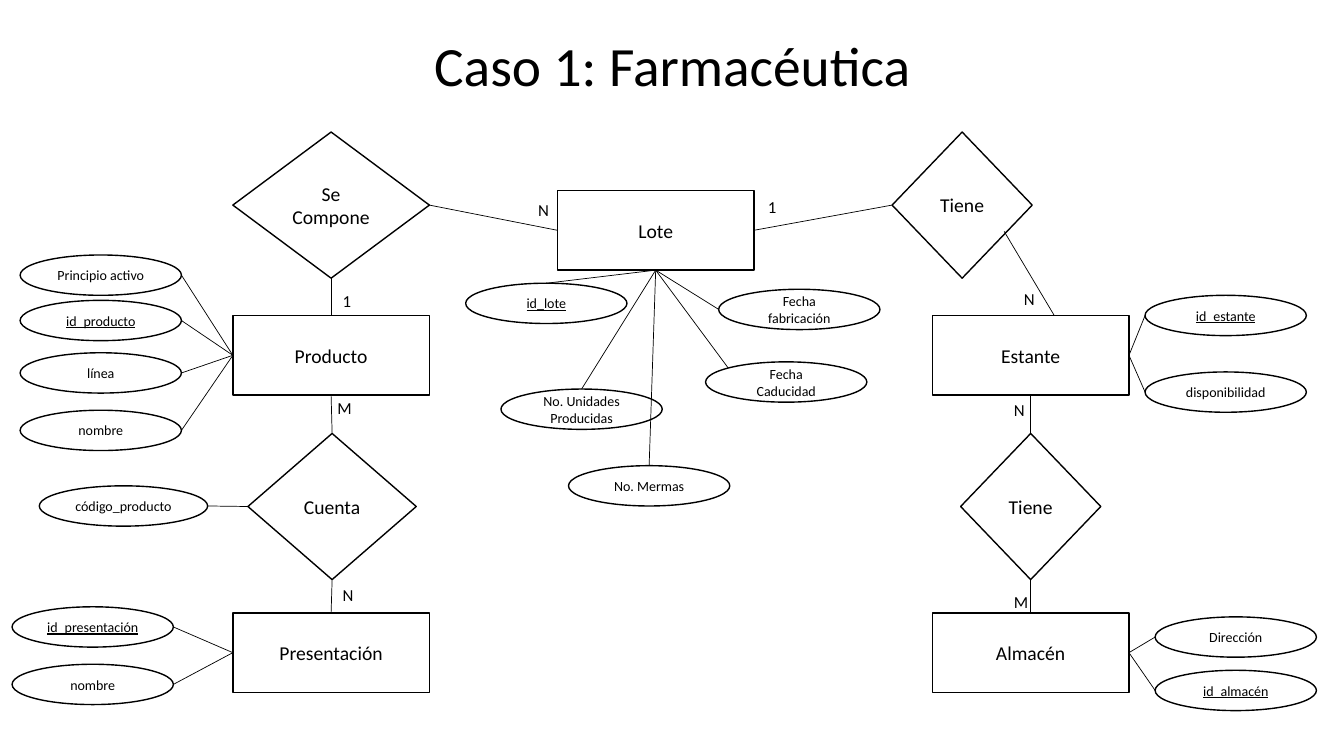
from dataclasses import dataclass
from typing import Any

from lxml import etree
from pptx import Presentation
from pptx.dml.color import RGBColor
from pptx.enum.shapes import MSO_CONNECTOR, MSO_SHAPE
from pptx.enum.text import MSO_ANCHOR, MSO_AUTO_SIZE, PP_ALIGN
from pptx.oxml.ns import qn
from pptx.util import Inches, Pt

RECTANGLE, DIAMOND, OVAL = MSO_SHAPE.RECTANGLE, MSO_SHAPE.DIAMOND, MSO_SHAPE.OVAL
STRAIGHT = MSO_CONNECTOR.STRAIGHT
CENTER, MIDDLE = PP_ALIGN.CENTER, MSO_ANCHOR.MIDDLE
NO_FIT, GROW = MSO_AUTO_SIZE.NONE, MSO_AUTO_SIZE.SHAPE_TO_FIT_TEXT

BLACK = RGBColor(0, 0, 0)
FONT = "Calibri"
CELL = Inches(0.1)  # side of one grid column and row
SLIDE_COLUMNS, SLIDE_ROWS = 133.33, 75
ENTITY_COLUMNS, ENTITY_ROWS = 19.5, 7.9
RELATION_ROWS = 14.5
ATTRIBUTE_COLUMNS, ATTRIBUTE_ROWS = 16, 4

# Connection sites of rectangles and diamonds
TOP, LEFT, BOTTOM, RIGHT = range(4)
# Points on an outline, as shares of the shape's width and height
LEFT_END, RIGHT_END, TOP_END = (0, 0.5), (1, 0.5), (0.5, 0)
UPPER_LEFT = (0.14, 0.15)


def cells(*counts):
    """Turn grid counts into slide lengths."""
    return [round(count * CELL) for count in counts]


def point_on(shape, shares):
    """Return the point at the given shares of a shape's box."""
    return (round(shape.left + shares[0] * shape.width),
            round(shape.top + shares[1] * shape.height))


def add_run(paragraph, text, size, underline=None):
    """Add one black run to a paragraph."""
    run = paragraph.add_run()
    run.text = text
    font = run.font
    font.name, font.size, font.underline = FONT, Pt(size), underline
    font.color.rgb = BLACK


def add_line(slide, begin, end):
    """Draw a thin line between two points."""
    connector = slide.shapes.add_connector(STRAIGHT, *begin, *end)
    connector.line.color.rgb = BLACK
    connector.line.width = Pt(0.5)
    etree.SubElement(connector._element.spPr, qn("a:effectLst"))
    return connector


def add_link(slide, first, first_site, second, second_site):
    """Glue a line to the sites of two entities or relations."""
    connector = add_line(slide, (0, 0), (0, 0))
    connector.begin_connect(first, first_site)
    connector.end_connect(second, second_site)


@dataclass
class Region:
    """A part of the diagram whose contents are placed from its corner."""
    slide: Any
    column: float
    row: float

    def box(self, column, row, columns, rows):
        """Return slide lengths of a box given relative to the region."""
        return cells(self.column + column, self.row + row, columns, rows)

    def node(self, preset, text, box, size, underline=None):
        """Add an outlined shape with centred text."""
        shape = self.slide.shapes.add_shape(preset, *self.box(*box))
        shape.shadow.inherit = False
        shape.fill.background()
        shape.line.color.rgb = BLACK
        shape.line.width = Pt(1)
        shape.text_frame.word_wrap = True
        shape.text_frame.vertical_anchor = MIDDLE
        paragraph = shape.text_frame.paragraphs[0]
        paragraph.alignment = CENTER
        add_run(paragraph, text, size, underline)
        return shape

    def entity(self, text, column, row):
        """Add an entity rectangle."""
        return self.node(RECTANGLE, text,
                         (column, row, ENTITY_COLUMNS, ENTITY_ROWS), 14)

    def relation(self, text, column, row, columns):
        """Add a relation diamond."""
        return self.node(DIAMOND, text, (column, row, columns, RELATION_ROWS), 14)

    def attribute(self, owner, site, end, text, column, row,
                  columns=ATTRIBUTE_COLUMNS):
        """Add an attribute joined to its owner; identifiers are underlined."""
        is_key = True if text.startswith("id_") else None
        oval = self.node(OVAL, text, (column, row, columns, ATTRIBUTE_ROWS),
                         10, is_key)
        target = point_on(oval, end)
        add_line(self.slide, target, target).begin_connect(owner, site)

    def cardinality(self, text, column, row):
        """Add a cardinality label."""
        label = self.slide.shapes.add_textbox(*self.box(column, row, 4, 3))
        label.text_frame.word_wrap = True
        label.text_frame.auto_size = GROW
        add_run(label.text_frame.paragraphs[0], text, 12)


def add_title(slide, text, box):
    """Place and format the title placeholder."""
    title = slide.shapes.title
    title.left, title.top, title.width, title.height = cells(*box)
    title.text_frame.auto_size = NO_FIT
    title.text_frame.vertical_anchor = MIDDLE
    paragraph = title.text_frame.paragraphs[0]
    paragraph.alignment = CENTER
    paragraph.line_spacing = 0.9
    add_run(paragraph, text, 39.6)


def add_product_region(region):
    """Draw products and presentations; return the relation to the lot."""
    product = region.entity("Producto", 21.9, 18.2)
    presentation_entity = region.entity("Presentación", 21.9, 47.7)
    composes = region.relation("Se Compone", 21.9, 0, 19.5)
    counts = region.relation("Cuenta", 23.4, 29.9, 16.7)
    for text, row in (("Principio activo", 12.2), ("id_producto", 16.7),
                      ("línea", 21.9), ("nombre", 27.6)):
        region.attribute(product, LEFT, RIGHT_END, text, 0.8, row)
    for text, row in (("id_presentación", 47.1), ("nombre", 52.8)):
        region.attribute(presentation_entity, LEFT, RIGHT_END, text, 0, row)
    region.attribute(counts, LEFT, RIGHT_END, "código_producto", 2.7, 35.1, 16.7)
    add_link(region.slide, composes, BOTTOM, product, TOP)
    add_link(region.slide, product, BOTTOM, counts, TOP)
    add_link(region.slide, counts, BOTTOM, presentation_entity, TOP)
    for text, column, row in (("1", 31.8, 15.3), ("M", 31.3, 25.9),
                              ("N", 31.8, 44.4)):
        region.cardinality(text, column, row)
    return composes


def add_lot_region(region):
    """Draw the lot with its attributes and return its entity."""
    lot = region.entity("Lote", 9.1, 0)
    for text, column, row, end in (
            ("id_lote", 0, 9.2, TOP_END),
            ("Fecha fabricación", 25.1, 9.8, LEFT_END),
            ("Fecha Caducidad", 23.8, 17, UPPER_LEFT),
            ("No. Unidades Producidas", 3.5, 19.7, TOP_END),
            ("No. Mermas", 10.2, 27.3, TOP_END)):
        region.attribute(lot, BOTTOM, end, text, column, row)
    region.cardinality("N", 6.2, 0.4)
    region.cardinality("1", 29, 0.1)
    return lot


def add_shelf_region(region):
    """Draw shelves and warehouses; return the relation to the lot."""
    shelf = region.entity("Estante", 4, 18.2)
    warehouse = region.entity("Almacén", 4, 47.7)
    lot_has = region.relation("Tiene", 0, 0, 13.9)
    shelf_has = region.relation("Tiene", 6.8, 29.9, 13.9)
    for owner, text, column, row in (
            (shelf, "id_estante", 25.1, 16.2),
            (shelf, "disponibilidad", 25.1, 23.8),
            (warehouse, "Dirección", 26.1, 48.1),
            (warehouse, "id_almacén", 26.1, 53.4)):
        region.attribute(owner, RIGHT, LEFT_END, text, column, row)
    add_line(region.slide, point_on(lot_has, (0.8, 0.68)),
             point_on(shelf, (0.62, 0)))
    add_link(region.slide, shelf, BOTTOM, shelf_has, TOP)
    add_link(region.slide, shelf_has, BOTTOM, warehouse, TOP)
    for text, column, row in (("N", 12.1, 15.1), ("N", 11.1, 26.1),
                              ("M", 11.1, 45.1)):
        region.cardinality(text, column, row)
    return lot_has


def add_diagram_slide(presentation):
    """Build the entity-relation slide from its title and three regions."""
    slide = presentation.slides.add_slide(presentation.slide_layouts[5])
    add_title(slide, "Caso 1: Farmacéutica", (9.2, 3.9, 115, 5.7))
    composes = add_product_region(Region(slide, 1.2, 13.1))
    lot = add_lot_region(Region(slide, 46.2, 18.9))
    lot_has = add_shelf_region(Region(slide, 88.5, 13.1))
    add_link(slide, composes, RIGHT, lot, LEFT)
    add_link(slide, lot_has, LEFT, lot, RIGHT)


presentation = Presentation()
presentation.slide_width, presentation.slide_height = cells(SLIDE_COLUMNS, SLIDE_ROWS)
add_diagram_slide(presentation)
presentation.save("out.pptx")
